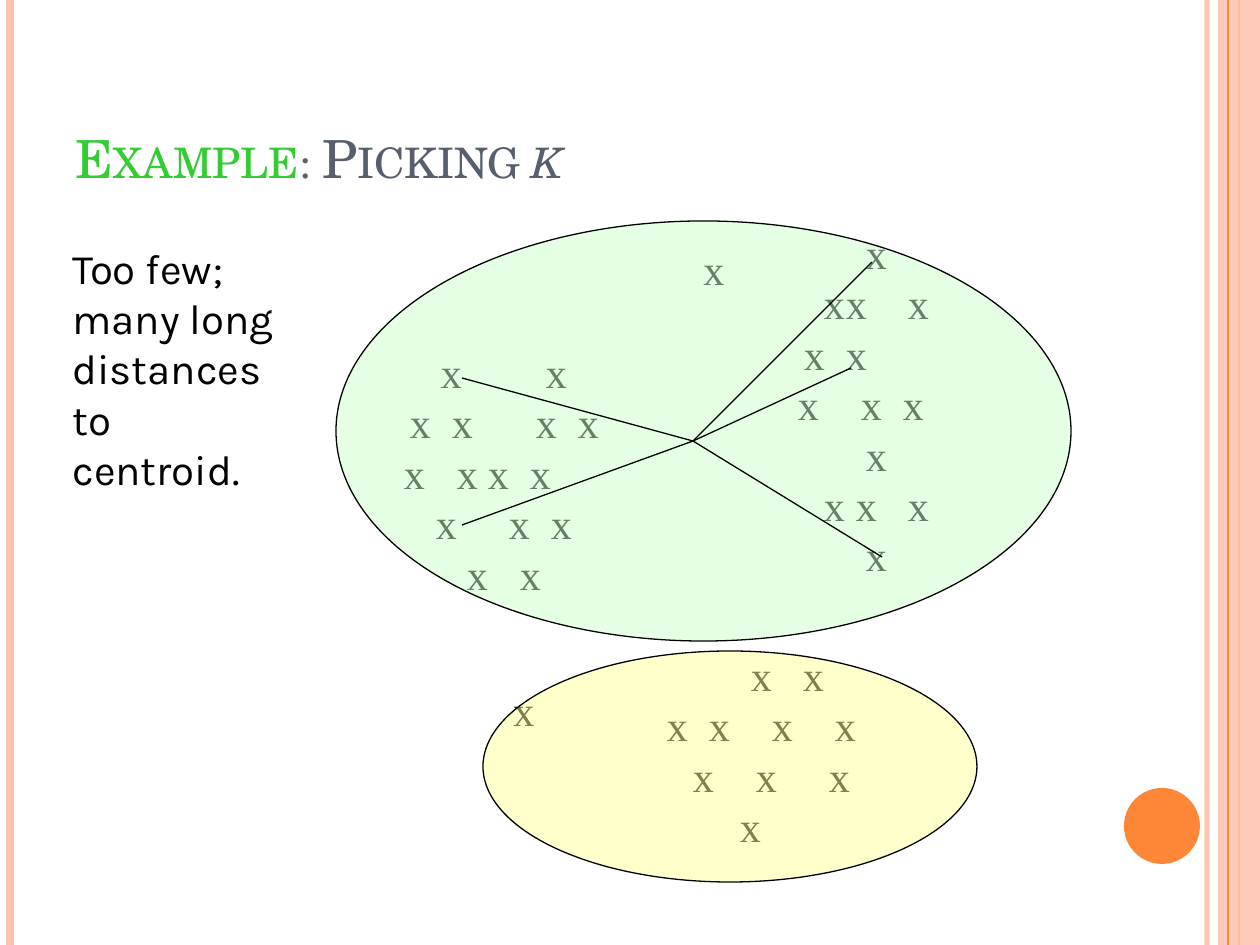
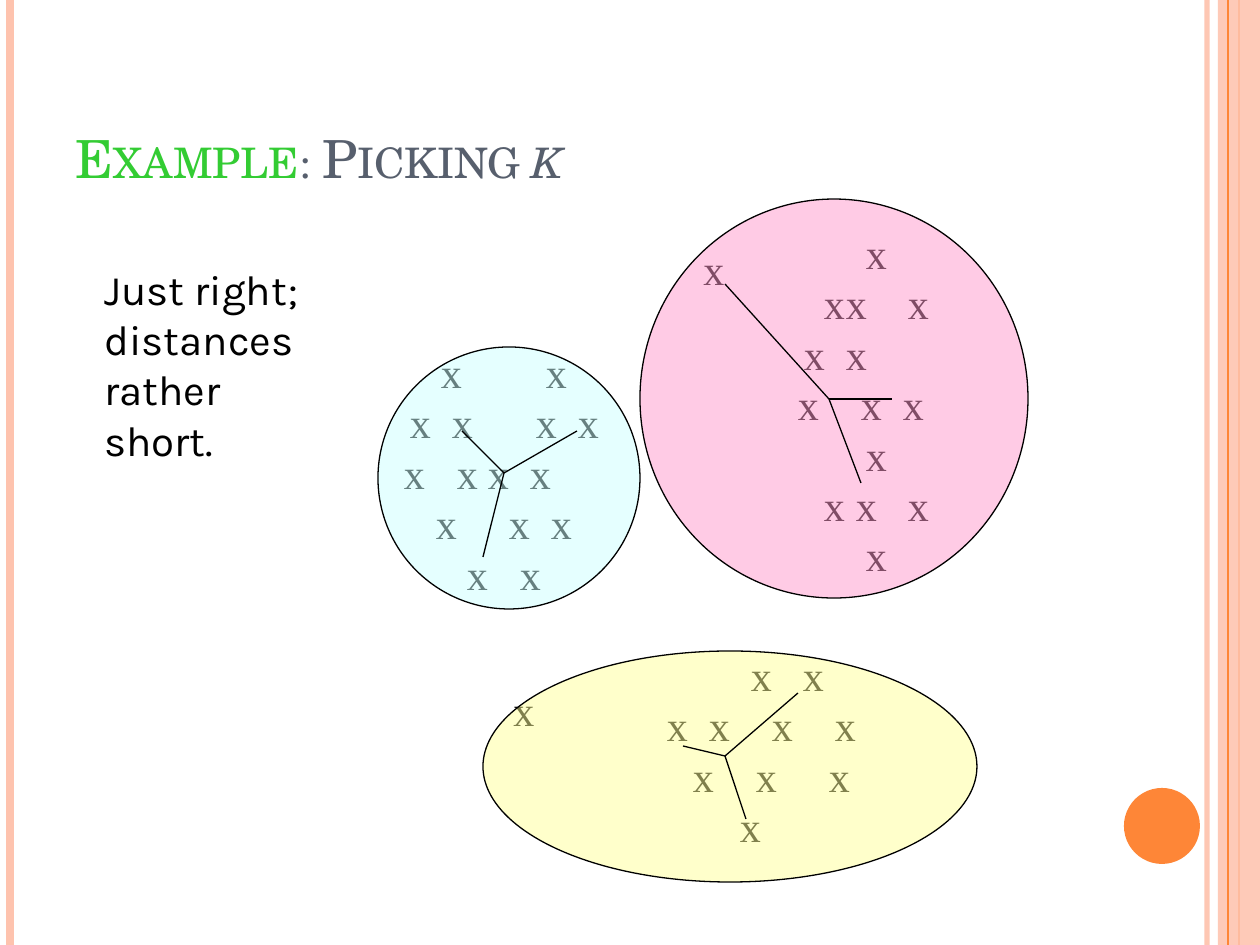
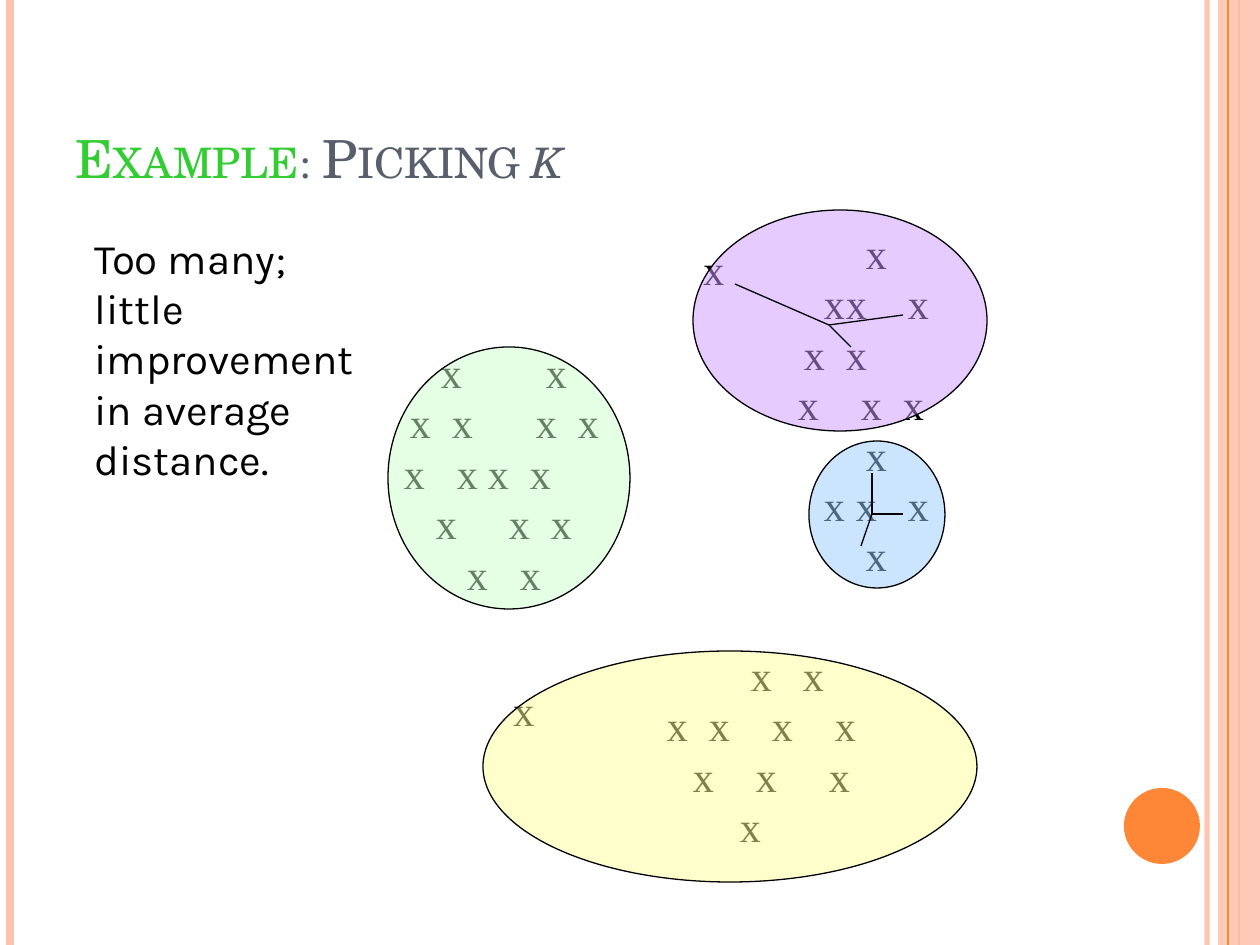
from lxml.etree import SubElement
from pptx import Presentation
from pptx.dml.color import RGBColor
from pptx.enum.shapes import MSO_CONNECTOR, MSO_SHAPE
from pptx.enum.text import MSO_ANCHOR
from pptx.oxml.ns import qn
from pptx.util import Emu, Pt

PX_PER_INCH = 126
WIDTH, HEIGHT = 1260, 945

COLOURS = {
    "black": "000000",
    "title": "575F6D",
    "example": "33CC33",
    "orange": "FE8637",
    "peach": "FEC3AE",
    "green": "CCFFCC",
    "yellow": "FFFF99",
    "cyan": "CCFFFF",
    "pink": "FF99CC",
    "purple": "CC99FF",
    "blue": "99CCFF",
}
TITLE_FONT, BODY_FONT, POINT_FONT = "TeX Gyre Schola", "Karla", "Times New Roman"

# Each cluster: its box, then for each row the left offsets of its points.
POINT_CLUSTERS = [
    ((378, 315, 252, 315),
     [[63, 168], [32, 74, 158, 200], [26, 79, 110, 152], [58, 131, 173], [89, 142]]),
    ((756, 210, 242, 388),
     [[110], [68, 90, 152], [48, 90], [42, 105, 147], [110], [68, 100, 152], [110]]),
    ((630, 640, 262, 220),
     [[121, 173], [37, 79, 142, 205], [63, 126, 199], [110]]),
]
OUTLIERS = [(691, 237, 47, 63), (501, 678, 47, 63)]
YELLOW_CLUSTER = ("yellow", (483, 651, 494, 231))

# Distances map each centroid to the ends of its lines.
EXAMPLES = [
    {
        "remark": ["Too few;", "many long", "distances", "to centroid."],
        "remark_box": (60, 236, 238, 214),
        "clusters": [("green", (336, 221, 735, 420)), YELLOW_CLUSTER],
        "distances": {
            (693, 441): [(462, 378), (462, 525), (882, 557), (851, 368), (872, 262)],
        },
    },
    {
        "remark": ["Just right;", "distances", "rather short."],
        "remark_box": (92, 257, 252, 164),
        "clusters": [YELLOW_CLUSTER, ("cyan", (378, 347, 262, 262)),
                     ("pink", (640, 199, 388, 399))],
        "distances": {
            (504, 473): [(462, 431), (577, 431), (483, 557)],
            (725, 756): [(683, 746), (798, 693), (746, 819)],
            (829, 399): [(725, 284), (892, 399), (861, 483)],
        },
    },
    {
        "remark": ["Too many;", "little improvement", "in average", "distance."],
        "remark_box": (82, 226, 360, 214),
        "clusters": [YELLOW_CLUSTER, ("green", (388, 347, 242, 262)),
                     ("purple", (693, 210, 294, 221)), ("blue", (809, 441, 136, 147))],
        "distances": {
            (829, 325): [(735, 284), (903, 315), (851, 347)],
            (872, 514): [(872, 473), (903, 514), (861, 546)],
        },
    },
]


def px(length):
    return Emu(round(length * 914400 / PX_PER_INCH))


def rgb(colour):
    return RGBColor.from_string(COLOURS[colour])


def set_opacity(element, percent):
    """Apply opacity to every solid colour the shape has so far."""
    for colour in element.spPr.xpath(".//a:solidFill/a:srgbClr"):
        SubElement(colour, qn("a:alpha")).set("val", str(percent * 1000))


class Deck:
    """Holds the presentation, its style and the current slide."""

    def __init__(self):
        self.presentation = Presentation()
        self.presentation.slide_width = px(WIDTH)
        self.presentation.slide_height = px(HEIGHT)
        self.slide = None

    def new_slide(self):
        self.slide = self.presentation.slides.add_slide(
            self.presentation.slide_layouts[6])
        self.rule(1207, "peach", 3, 93)
        self.rule(10, "peach", 4.5)
        self.rule(1239, "orange", 1.5)
        self.shape(MSO_SHAPE.RECTANGLE, (1218, 0, 42, HEIGHT), "peach", 87)
        self.rule(1228, "orange", 0.75)
        self.shape(MSO_SHAPE.OVAL, (1124, 788, 76, 76), "orange")
        self.title()

    def line(self, start, end, colour="black", weight=0.75, opacity=100):
        connector = self.slide.shapes.add_connector(
            MSO_CONNECTOR.STRAIGHT, *map(px, start + end))
        connector.line.color.rgb = rgb(colour)
        connector.line.width = Pt(weight)
        if opacity < 100:
            set_opacity(connector._element, opacity)
        SubElement(connector._element.spPr, qn("a:effectLst"))

    def rule(self, x, colour, weight, opacity=100):
        """Draw a vertical line over the full slide height."""
        self.line((x, 0), (x, HEIGHT), colour, weight, opacity)

    def shape(self, preset, box, fill, opacity=100, outline=None):
        shape = self.slide.shapes.add_shape(preset, *map(px, box))
        shape.shadow.inherit = False
        shape.fill.solid()
        shape.fill.fore_color.rgb = rgb(fill)
        if opacity < 100:
            set_opacity(shape._element, opacity)
        if outline:
            shape.line.color.rgb = rgb(outline)
            shape.line.width = Pt(0.75)
        else:
            shape.line.fill.background()

    def text_frame(self, box, anchor=MSO_ANCHOR.TOP, wrap=True):
        frame = self.slide.shapes.add_textbox(*map(px, box)).text_frame
        frame.word_wrap = wrap
        frame.vertical_anchor = anchor
        return frame

    def run(self, paragraph, text, font, size=24, colour="black"):
        run = paragraph.add_run()
        run.text = text
        run.font.name = font
        run.font.size = Pt(size)
        run.font.color.rgb = rgb(colour)
        return run

    def paragraphs(self, frame, texts, font):
        for number, text in enumerate(texts):
            paragraph = frame.add_paragraph() if number else frame.paragraphs[0]
            self.run(paragraph, text, font)

    def title(self):
        frame = self.text_frame((63, 38, 1029, 157), MSO_ANCHOR.BOTTOM)
        parts = [("Example", "example"), (": Picking ", "title"), ("k", "title")]
        for text, colour in parts:
            run = self.run(frame.paragraphs[0], text, TITLE_FONT, 30, colour)
            run.font._element.set("cap", "small")
        run.font.italic = True

    def remark(self, box, lines):
        self.paragraphs(self.text_frame(box), lines, BODY_FONT)

    def outlier(self, box):
        self.paragraphs(self.text_frame(box, wrap=False), ["x"], POINT_FONT)

    def points(self, box, rows):
        """Write rows of points, each point at its own tab stop."""
        frame = self.text_frame(box, MSO_ANCHOR.MIDDLE)
        frame.margin_left = frame.margin_right = 0
        frame.margin_top = frame.margin_bottom = 0
        self.paragraphs(frame, ["\tx" * len(row) for row in rows], POINT_FONT)
        for paragraph, row in zip(frame.paragraphs, rows):
            stops = SubElement(paragraph._p.get_or_add_pPr(), qn("a:tabLst"))
            for offset in row:
                SubElement(stops, qn("a:tab"), pos=str(px(offset)), algn="l")

    def cluster(self, colour, box):
        self.shape(MSO_SHAPE.OVAL, box, colour, 50, "black")


def main():
    deck = Deck()
    for example in EXAMPLES:
        deck.new_slide()
        for box, rows in POINT_CLUSTERS:
            deck.points(box, rows)
        for box in OUTLIERS:
            deck.outlier(box)
        for colour, box in example["clusters"]:
            deck.cluster(colour, box)
        for centroid, ends in example["distances"].items():
            for end in ends:
                deck.line(centroid, end)
        deck.remark(example["remark_box"], example["remark"])
    deck.presentation.save("out.pptx")


if __name__ == "__main__":
    main()
